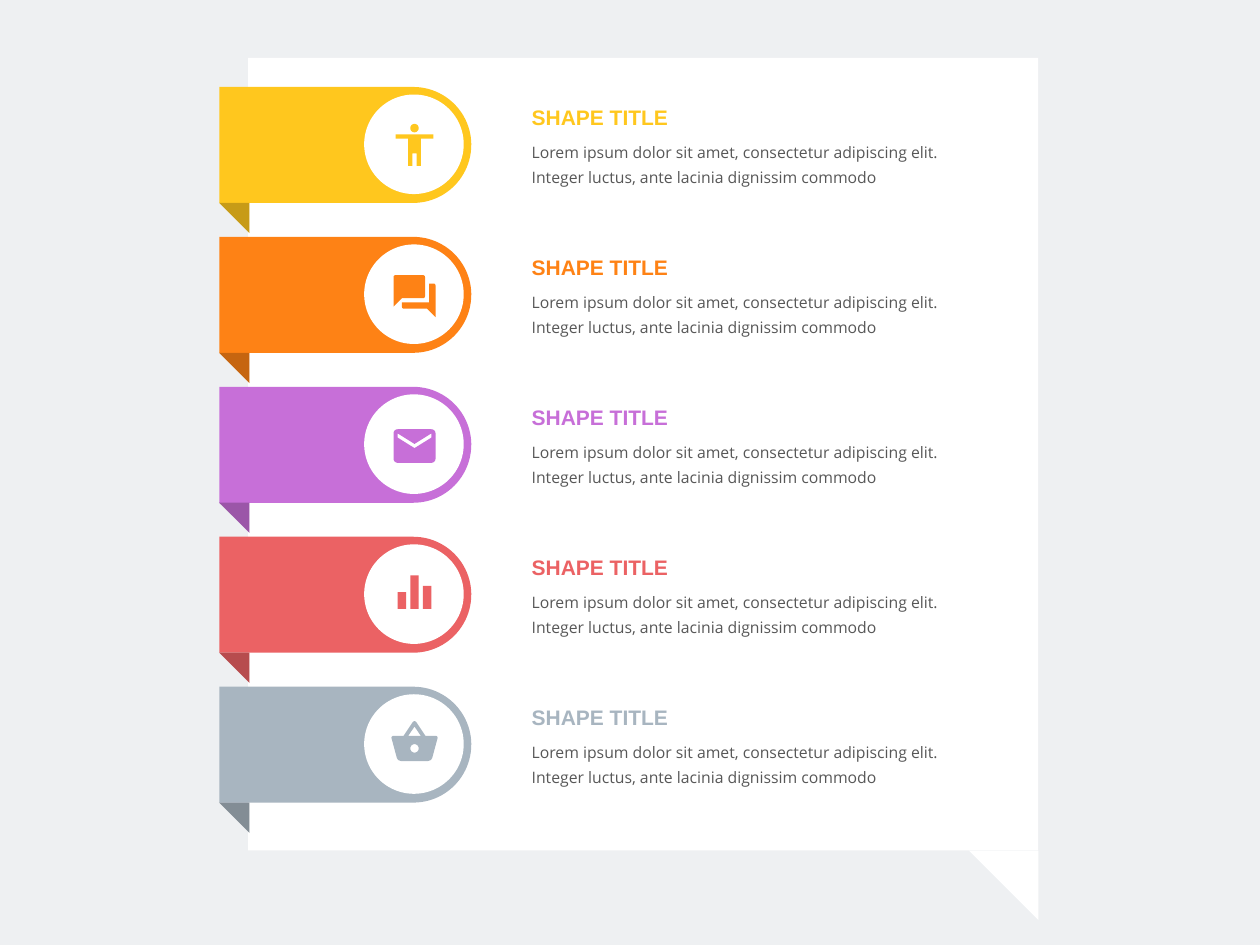
from math import cos, radians, sin

from lxml.etree import SubElement
from pptx import Presentation
from pptx.dml.color import RGBColor
from pptx.enum.shapes import MSO_SHAPE
from pptx.enum.text import MSO_ANCHOR, MSO_AUTO_SIZE
from pptx.oxml.ns import qn
from pptx.util import Inches, Pt

TITLE = "SHAPE TITLE"
BODY = ("Lorem ipsum dolor sit amet, consectetur adipiscing elit. "
        "Integer luctus, ante lacinia dignissim commodo")
WHITE, BLACK, BACKDROP = "FFFFFF", "000000", "EEF0F2"
ROW_LEFT, ROW_TOP, ROW_PITCH = 1.74, 0.69, 1.19
ICON_SIZE, ICON_GRID, PRECISION = 0.4, 24, 100


def set_color(fill, color, alpha=100):
    fill.solid()
    fill.fore_color.rgb = RGBColor.from_string(color)
    if alpha < 100:
        clr = fill._xPr.find(qn("a:solidFill"))[0]
        SubElement(clr, qn("a:alpha")).set("val", str(alpha * 1000))


def finish(sp, color, alpha=100):
    set_color(sp.fill, color, alpha)
    sp.line.fill.background()
    sp.shadow.inherit = False


def add_shape(shapes, kind, x, y, w, h, color, rotation=0, alpha=100):
    sp = shapes.add_shape(kind, Inches(x), Inches(y), Inches(w), Inches(h))
    sp.rotation = rotation
    finish(sp, color, alpha)
    return sp


def add_fold(shapes, x, y, size, color, alpha=100):
    add_shape(shapes, MSO_SHAPE.RIGHT_TRIANGLE, x, y, size, size, color, 180, alpha)


def add_text(s, x, y, w, h, text, font, size, color, alpha=100):
    sp = s.shapes.add_textbox(Inches(x), Inches(y), Inches(w), Inches(h))
    tf = sp.text_frame
    tf.word_wrap = True
    tf.auto_size = MSO_AUTO_SIZE.SHAPE_TO_FIT_TEXT
    tf.margin_left = tf.margin_right = tf.margin_top = tf.margin_bottom = 0
    tf.text = text
    r = tf.paragraphs[0].runs[0]
    r.font.name, r.font.size = font, Pt(size)
    set_color(r.font.fill, color, alpha)
    return tf


def arc(cx, cy, radius, start=0, end=360):
    steps = max(6, (end - start) // 10)
    angles = [radians(start + (end - start) * i / steps) for i in range(steps + 1)]
    return [(cx + radius * cos(a), cy + radius * sin(a)) for a in angles]


def rect(x, y, w, h):
    return [(x, y), (x + w, y), (x + w, y + h), (x, y + h)]


PERSON = [
    arc(12, 4, 2),
    [(21, 9), (15, 9), (15, 22), (13, 22), (13, 16), (11, 16),
     (11, 22), (9, 22), (9, 9), (3, 9), (3, 7), (21, 7)],
]
CHAT = [
    [(19, 6), *arc(21, 7, 1, 270, 360), (22, 22), (18, 18),
     *arc(7, 17, 1, 90, 180), (6, 15), (19, 15)],
    [*arc(3, 3, 1, 180, 270), *arc(16, 3, 1, 270, 360),
     *arc(16, 12, 1, 0, 90), (6, 13), (2, 17)],
]
MAIL = [
    [*arc(4, 6, 2, 180, 270), *arc(20, 6, 2, 270, 360),
     *arc(20, 18, 2, 0, 90), *arc(4, 18, 2, 90, 180)],
    [(20, 8), (12, 13), (4, 8), (4, 6), (12, 11), (20, 6)],
]
BARS = [rect(10, 4, 4, 16), rect(4, 12, 4, 8), rect(16, 9, 4, 11)]
BASKET = [
    [(17.2, 9), (12.83, 2.44), (12.5, 2.13), (12, 2.02), (11.5, 2.13),
     (11.17, 2.45), (6.8, 9), *reversed(arc(2, 10, 1, 180, 270)),
     (3.58, 19.54), (4.2, 20.55), (5.5, 21), (18.5, 21), (19.8, 20.55),
     (20.43, 19.54), *reversed(arc(22, 10, 1, 270, 360))],
    [(9, 9), (12, 4.6), (15, 9)],
    arc(12, 15, 2),
]
ROWS = [
    ("FFC71E", PERSON, 0.26),
    ("FE8215", CHAT, 0.27),
    ("C76FD8", MAIL, 0.27),
    ("EB6264", BARS, 0.24),
    ("A8B5C0", BASKET, 0.24),
]


def add_icon(s, x, y, size, outlines, color):
    contours = [[(px * PRECISION, py * PRECISION) for px, py in outline]
                for outline in outlines]
    scale = Inches(size) / (ICON_GRID * PRECISION)
    builder = s.shapes.build_freeform(*contours[0][0], scale=scale)
    builder.add_line_segments(contours[0][1:], close=True)
    for first, *rest in contours[1:]:
        builder.move_to(*first)
        builder.add_line_segments(rest, close=True)
    finish(builder.convert_to_shape(Inches(x), Inches(y)), color)


def add_panel(s, x, y, w, h, tail):
    shapes = s.shapes.add_group_shape().shapes
    add_shape(shapes, MSO_SHAPE.RECTANGLE, x, y, w, h, WHITE)
    add_fold(shapes, x + w - tail, y + h, tail, WHITE)


def add_ribbon(s, x, y, w, h, color):
    shapes = s.shapes.add_group_shape().shapes
    pill = add_shape(shapes, MSO_SHAPE.ROUND_2_SAME_RECTANGLE,
                     x + (w - h) / 2, y + (h - w) / 2, h, w, color, 90)
    pill.adjustments[0] = 0.5
    pill.adjustments[1] = 0
    fold = 0.24
    add_fold(shapes, x, y + h, fold, color)
    add_fold(s.shapes, x, y + h, fold, BLACK, 22)


def add_row(s, x, y, color, icon, icon_top):
    add_ribbon(s, x, y, 2, 0.92, color)
    add_shape(s.shapes, MSO_SHAPE.OVAL, x + 1.15, y + 0.06, 0.79, 0.79, WHITE)
    body = add_text(s, x + 2.48, y + 0.4, 3.27, 0.37, BODY, "Open Sans", 9, BLACK, 65)
    body.paragraphs[0].line_spacing = 1.3
    title = add_text(s, x + 2.48, y + 0.14, 3.27, 0.2, TITLE, "Arial", 12, color)
    title.vertical_anchor = MSO_ANCHOR.MIDDLE
    title.paragraphs[0].runs[0].font.bold = True
    add_icon(s, x + 1.35, y + icon_top, ICON_SIZE, icon, color)


prs = Presentation()
prs.slide_width, prs.slide_height = Inches(10), Inches(7.5)
s = prs.slides.add_slide(prs.slide_layouts[6])
set_color(s.background.fill, BACKDROP)
add_panel(s, 1.97, 0.46, 6.27, 6.29, 0.55)
for i, (color, icon, icon_top) in enumerate(ROWS):
    add_row(s, ROW_LEFT, ROW_TOP + i * ROW_PITCH, color, icon, icon_top)
prs.save("out.pptx")
